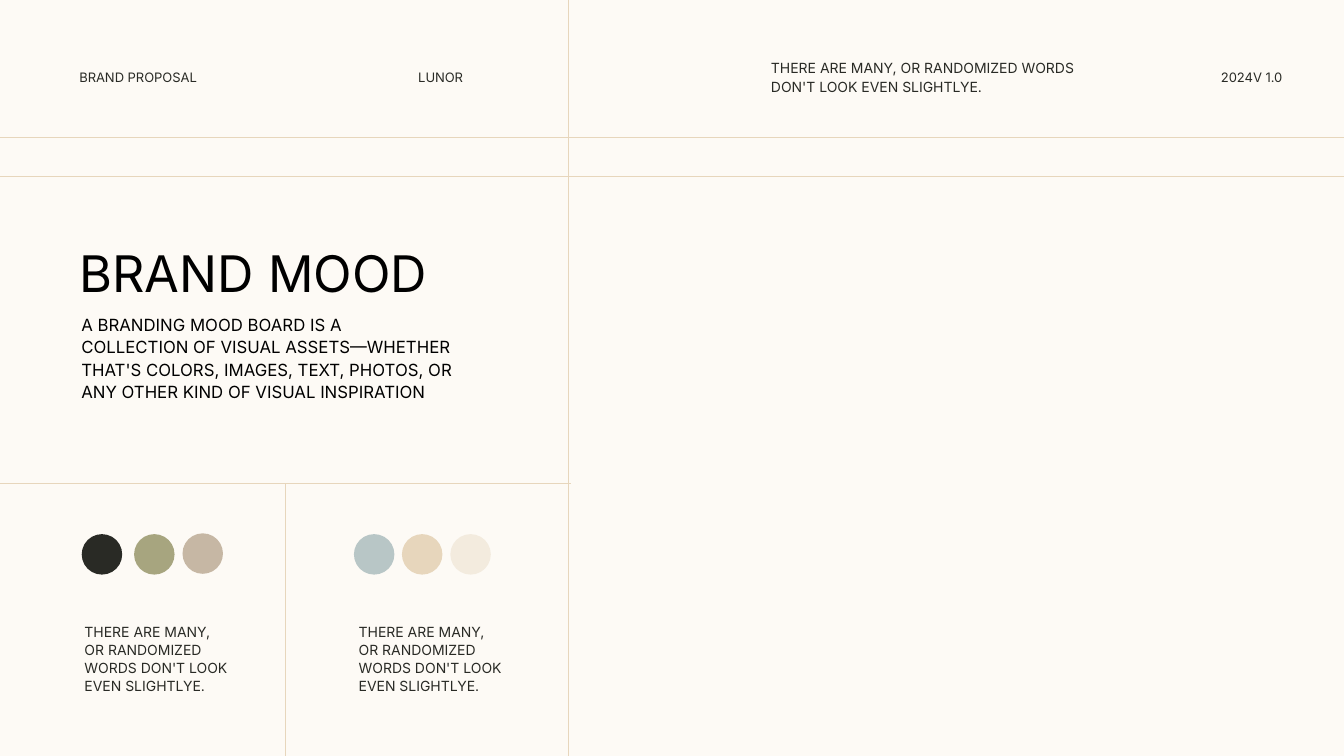
"""Build the brand mood slide with its ruled grid, palette and captions."""
from lxml import etree
from pptx import Presentation
from pptx.dml.color import RGBColor
from pptx.enum.shapes import MSO_CONNECTOR, MSO_SHAPE
from pptx.enum.text import MSO_ANCHOR, MSO_AUTO_SIZE, PP_ALIGN
from pptx.oxml.ns import qn
from pptx.util import Cm, Pt

STRAIGHT = MSO_CONNECTOR.STRAIGHT
OVAL = MSO_SHAPE.OVAL
TOP = MSO_ANCHOR.TOP
GROW = MSO_AUTO_SIZE.SHAPE_TO_FIT_TEXT
LEFT, RIGHT = PP_ALIGN.LEFT, PP_ALIGN.RIGHT

CREAM = RGBColor(0xFD, 0xFA, 0xF5)
SAND = RGBColor(0xE7, 0xD6, 0xBC)
CHARCOAL = RGBColor(0x29, 0x2A, 0x25)
OLIVE = RGBColor(0xA7, 0xA5, 0x7F)
TAUPE = RGBColor(0xC6, 0xB7, 0xA4)
MIST = RGBColor(0xB8, 0xC6, 0xC6)
IVORY = RGBColor(0xF3, 0xEB, 0xDE)
BLACK = RGBColor(0x00, 0x00, 0x00)

WIDTH, HEIGHT = 33.87, 19.05
MIDDLE, PALETTE_TOP = 14.33, 12.19
DIAMETER = 1.02
CAPTION = "THERE ARE MANY, OR RANDOMIZED WORDS DON'T LOOK EVEN SLIGHTLYE."
MOOD = (
    "A BRANDING MOOD BOARD IS A COLLECTION OF VISUAL ASSETS—WHETHER "
    "THAT'S COLORS, IMAGES, TEXT, PHOTOS, OR ANY OTHER KIND OF VISUAL INSPIRATION"
)


def write_text(shape, text, size, color, spacing=None, alignment=LEFT):
    frame = shape.text_frame
    frame.word_wrap = True
    frame.auto_size = GROW
    frame.vertical_anchor = TOP
    paragraph = frame.paragraphs[0]
    paragraph.alignment = alignment
    if spacing:
        paragraph.line_spacing = Pt(spacing)
    run = paragraph.add_run()
    run.text = text
    run.font.name = "Inter"
    run.font.size = Pt(size)
    run.font.color.rgb = color
    return run


presentation = Presentation()
presentation.slide_width = Cm(WIDTH)
presentation.slide_height = Cm(HEIGHT)
slide = presentation.slides.add_slide(presentation.slide_layouts[5])
slide.background.fill.solid()
slide.background.fill.fore_color.rgb = CREAM

grid_lines = [
    (0, 4.45, WIDTH, 4.45),
    (MIDDLE, 0, MIDDLE, HEIGHT),
    (0, 3.45, WIDTH, 3.45),
    (0, PALETTE_TOP, 14.38, PALETTE_TOP),
    (7.19, PALETTE_TOP, 7.19, HEIGHT),
]
for ends in grid_lines:
    connector = slide.shapes.add_connector(STRAIGHT, *map(Cm, ends))
    connector.line.color.rgb = SAND
    connector.line.width = Pt(0.5)
    etree.SubElement(connector._element.spPr, qn("a:effectLst"))

title = slide.shapes.title
title.left, title.top, title.width, title.height = map(Cm, (1.75, 5.56, 10.06, 2.03))
write_text(title, "BRAND MOOD", 36, BLACK, 55)

header_labels = [
    ("BRAND PROPOSAL", 1.75, 4.65, LEFT),
    ("LUNOR", 10.29, 4.65, LEFT),
    ("2024V 1.0 ", 30.02, 2.64, RIGHT),
]
for text, left, width, alignment in header_labels:
    label = slide.shapes.add_textbox(Cm(left), Cm(1.57), Cm(width), Cm(0.71))
    run = write_text(label, text, 16, CHARCOAL, alignment=alignment)
    run.font._element.set("baseline", "30000")

body_texts = [
    (CAPTION, 10, CHARCOAL, 13, (19.18, 1.35, 8.59, 1.14)),
    (MOOD, 12, BLACK, 16, (1.8, 7.75, 9.86, 3.07)),
    (CAPTION, 10, CHARCOAL, 13, (1.88, 15.54, 4.17, 2.08)),
    (CAPTION, 10, CHARCOAL, 13, (8.79, 15.54, 4.17, 2.08)),
]
for text, size, color, spacing, box in body_texts:
    textbox = slide.shapes.add_textbox(*map(Cm, box))
    write_text(textbox, text, size, color, spacing)

swatches = [
    (CHARCOAL, 2.06, 13.46),
    (OLIVE, 3.38, 13.46),
    (TAUPE, 4.6, 13.44),
    (MIST, 8.92, 13.46),
    (SAND, 10.13, 13.46),
    (IVORY, 11.35, 13.46),
]
for color, left, top in swatches:
    swatch = slide.shapes.add_shape(OVAL, Cm(left), Cm(top), Cm(DIAMETER), Cm(DIAMETER))
    swatch.shadow.inherit = False
    swatch.fill.solid()
    swatch.fill.fore_color.rgb = color
    swatch.line.fill.background()

presentation.save("out.pptx")
